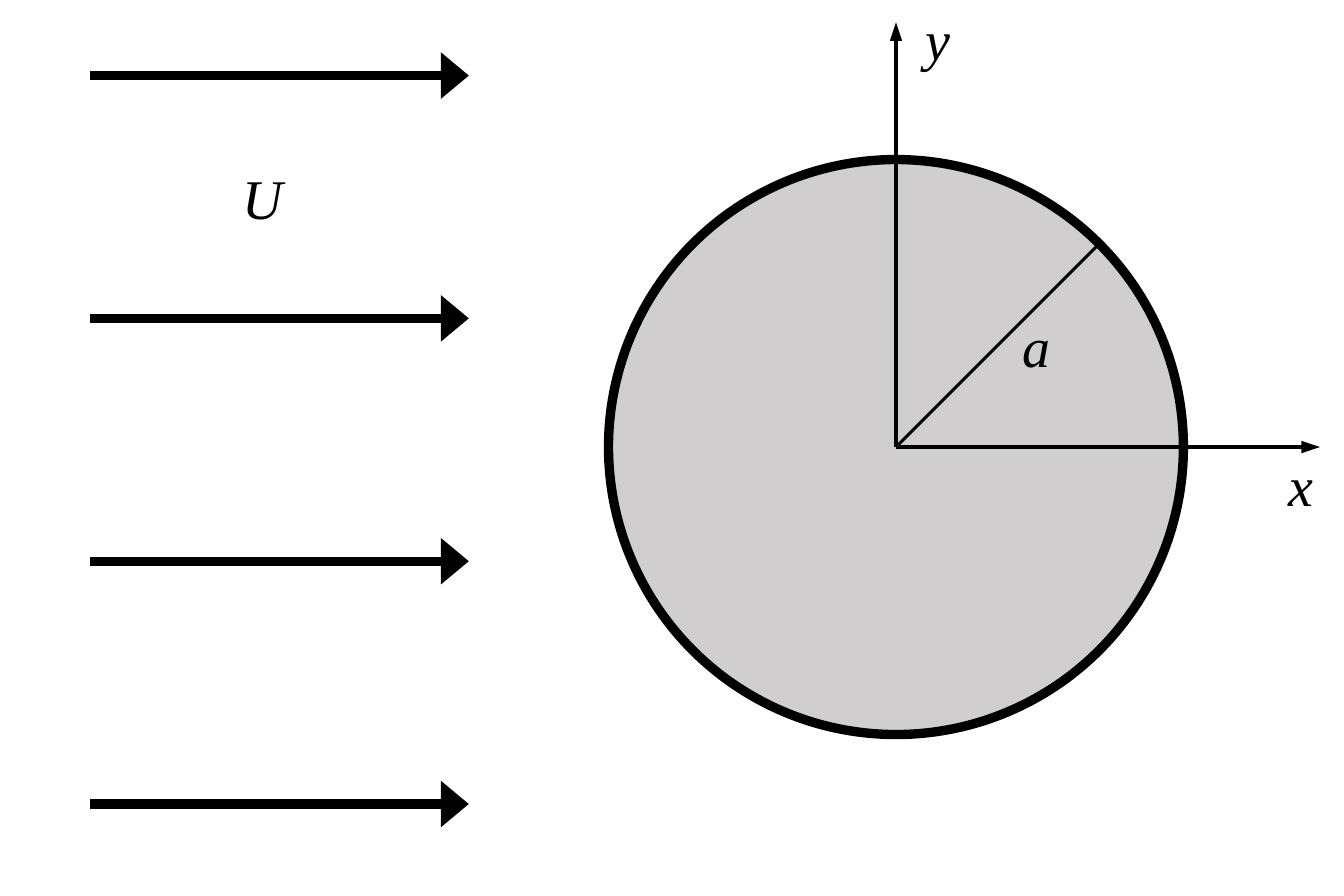
import math
from dataclasses import dataclass

from lxml import etree
from pptx import Presentation
from pptx.dml.color import RGBColor
from pptx.enum import shapes, text
from pptx.oxml import ns
from pptx.util import Pt

BLACK, GREY = "000000", "D0CECE"
CENTER_X, CENTER_Y, RADIUS = 288, 143.7, 92.4
FLOW_LEFT, FLOW_RIGHT = 28.8, 150.7
FLOW_TOP, FLOW_PITCH, FLOW_COUNT = 24.3, 78.05, 4


@dataclass
class Line:
    start: tuple[float, float]
    end: tuple[float, float]
    weight: float = 1
    head_width: str = ""  # "sm", "med" or "lg"; empty for no arrowhead


@dataclass
class Label:
    symbol: str
    left: float
    top: float
    width: float


def color(hex_value: str) -> RGBColor:
    return RGBColor.from_string(hex_value)


def draw_line(slide, line: Line) -> None:
    connector = slide.shapes.add_connector(
        shapes.MSO_CONNECTOR.STRAIGHT, *map(Pt, line.start + line.end))
    connector.line.color.rgb = color(BLACK)
    connector.line.width = Pt(line.weight)
    properties = connector._element.spPr
    if line.head_width:
        etree.SubElement(properties.find(ns.qn("a:ln")), ns.qn("a:tailEnd"),
                         type="triangle", w=line.head_width, len="med")
    etree.SubElement(properties, ns.qn("a:effectLst"))


def draw_label(slide, label: Label) -> None:
    box = slide.shapes.add_textbox(
        Pt(label.left), Pt(label.top), Pt(label.width), Pt(29))
    frame = box.text_frame
    frame.word_wrap = False
    frame.auto_size = text.MSO_AUTO_SIZE.SHAPE_TO_FIT_TEXT
    paragraph = frame.paragraphs[0]
    paragraph.text = label.symbol
    paragraph.alignment = text.PP_ALIGN.RIGHT
    font = paragraph.font
    font.name, font.size, font.italic = "Times New Roman", Pt(18), True
    font.color.rgb = color(BLACK)


def draw_cylinder(slide) -> None:
    circle = slide.shapes.add_shape(
        shapes.MSO_SHAPE.OVAL, Pt(CENTER_X - RADIUS), Pt(CENTER_Y - RADIUS),
        Pt(2 * RADIUS), Pt(2 * RADIUS))
    circle.shadow.inherit = False
    circle.fill.solid()
    circle.fill.fore_color.rgb = color(GREY)
    circle.line.color.rgb = color(BLACK)
    circle.line.width = Pt(3)


presentation = Presentation()
presentation.slide_width, presentation.slide_height = Pt(432), Pt(288)
slide = presentation.slides.add_slide(presentation.slide_layouts[6])

# Cylinder with its axes and radius
draw_cylinder(slide)
center = (CENTER_X, CENTER_Y)
reach = RADIUS * math.sqrt(0.5)
for line in (
    Line(center, (CENTER_X, 7.2), head_width="sm"),
    Line(center, (424.3, CENTER_Y), head_width="sm"),
    Line(center, (CENTER_X + reach, CENTER_Y - reach)),
):
    draw_line(slide, line)

# Uniform flow
for row in range(FLOW_COUNT):
    y = FLOW_TOP + row * FLOW_PITCH
    draw_line(slide, Line((FLOW_LEFT, y), (FLOW_RIGHT, y), 3, "lg"))

# Symbols
for label in (
    Label("y", 290.2, -2.2, 22.3),
    Label("x", 406.8, 141.1, 22.3),
    Label("a", 321.1, 96.5, 23.8),
    Label("U", 70.6, 49, 27.4),
):
    draw_label(slide, label)

presentation.save("out.pptx")
